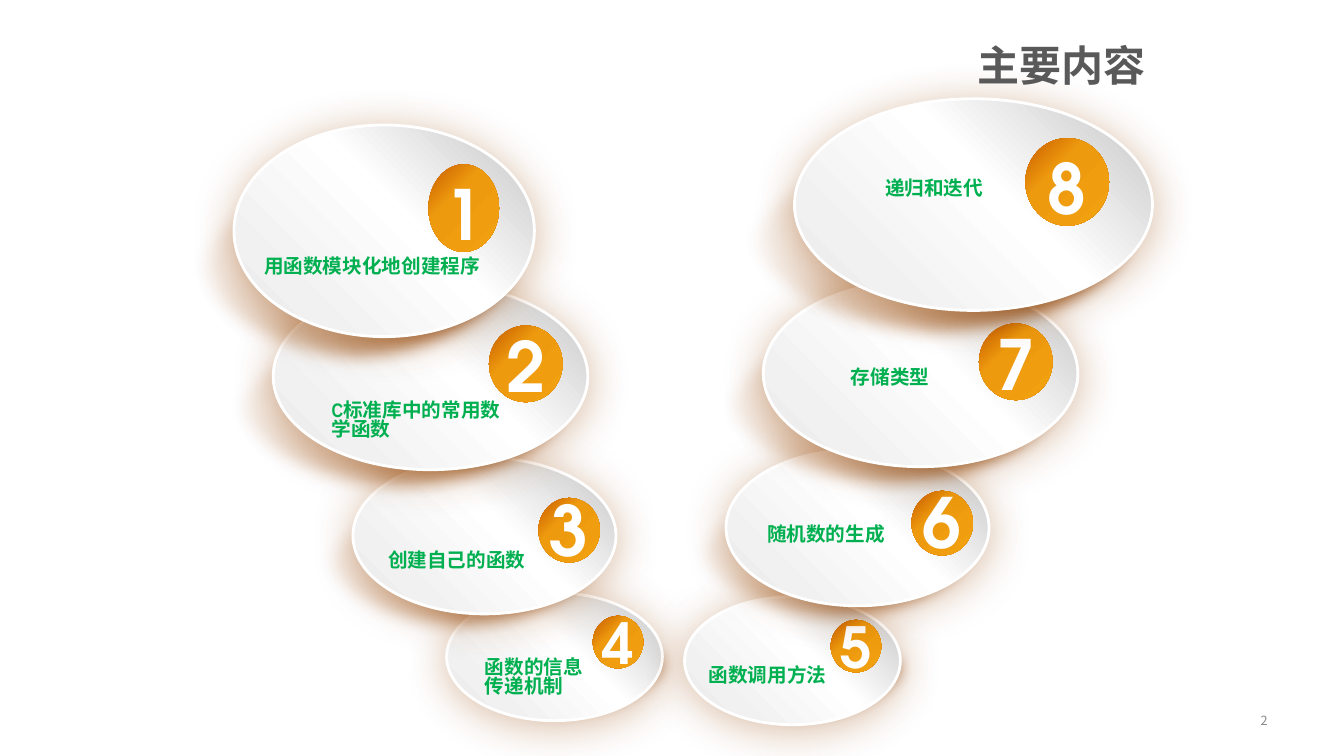
from lxml.etree import SubElement
from pptx import Presentation
from pptx.dml.color import RGBColor
from pptx.enum.shapes import MSO_SHAPE
from pptx.enum.text import MSO_ANCHOR, MSO_AUTO_SIZE, PP_ALIGN
from pptx.oxml.ns import qn
from pptx.util import Pt

EMU_PER_PX = 9144
COLORS = {
    "white": "FFFFFF", "label": "00B050", "title": "595959", "page": "898989",
    "glow": "984807", "shade_dark": "863C00", "shade_light": "9E4800",
    "disk_dark": "CCCCCC", "disk_pale": "F1F1F1", "disk_edge": "E4E4E4",
    "badge_dark": "C85B00", "badge_mid": "EE9A0E", "badge_light": "F1A00F",
}
GRADIENTS = {
    "shade": (180, [(0, "shade_dark", 100), (100, "shade_light", 0)]),
    "disk": (135, [(6, "disk_dark", 100), (43, "white", 100),
                   (80, "disk_pale", 100), (100, "disk_edge", 100)]),
    "badge": (45, [(0, "badge_dark", 100), (36, "badge_mid", 100), (100, "badge_light", 100)]),
}
EFFECTS = {
    "shade": ("a:softEdge", {"rad": Pt(12)}),
    "disk": ("a:outerShdw", {"blurRad": Pt(31), "dist": Pt(3), "dir": 90 * 60000,
                             "algn": "t", "rotWithShape": 0}),
}
FONTS = {"digit": "TeX Gyre Adventor", "text": "Arial Narrow", "cjk": "Noto Sans CJK SC"}
TEXT_STYLES = {
    "digit": ("digit", "white", {"size": Pt(49.5), "bold": True},
              {"alignment": PP_ALIGN.CENTER, "line_spacing": 0.8}),
    "small_digit": ("digit", "white", {"size": Pt(40.5), "bold": True},
                    {"alignment": PP_ALIGN.CENTER, "line_spacing": 0.8}),
    "label": ("text", "label", {"size": Pt(14), "bold": True}, {"line_spacing": 0.8}),
    "title": ("text", "title", {"size": Pt(30), "bold": True},
              {"alignment": PP_ALIGN.RIGHT, "line_spacing": 1.3}),
    "page": ("cjk", "page", {"size": Pt(9)}, {"alignment": PP_ALIGN.RIGHT}),
}
FIT_FRAME = {"word_wrap": True, "auto_size": MSO_AUTO_SIZE.SHAPE_TO_FIT_TEXT}
PAGE_FRAME = {"word_wrap": True, "vertical_anchor": MSO_ANCHOR.MIDDLE}

LEFT_TOPICS = [
    ("4", (443, 588, 214, 127), (588, 611), 611, "函数的信息传递机制", (471, 649, 126, 48)),
    ("3", (350, 454, 261, 155), (534, 494), 494, "创建自己的函数", (375, 543, 165, 29)),
    ("2", (271, 281, 312, 185), (485, 323), 332, "C标准库中的常用数学函数", (319, 394, 192, 48)),
    ("1", (232, 124, 298, 210), (425, 163), 181, "用函数模块化地创建程序", (252, 251, 242, 29)),
]
RIGHT_TOPICS = [
    ("5", (679, 592, 214, 127), (824, 615), 615, "函数调用方法", (693, 657, 141, 29)),
    ("6", (720, 446, 261, 155), (904, 487), 486, "随机数的生成", (751, 517, 154, 29)),
    ("7", (757, 278, 312, 185), (971, 321), 330, "存储类型", (834, 362, 116, 29)),
    ("8", (788, 98, 355, 210), (1017, 137), 155, "递归和迭代", (868, 174, 154, 29)),
]


def set_values(target, values):
    """Set each named attribute on the target."""
    for name, value in values.items():
        setattr(target, name, value)


def add_xml(parent, tag, values):
    """Append a drawing element with attributes."""
    return SubElement(parent, qn(tag), {name: str(value) for name, value in values.items()})


class SlideBuilder:
    """Draw styled elements on the current slide."""

    def __init__(self, slide):
        """Keep the slide to draw on."""
        self.slide = slide

    def box(self, bounds):
        """Turn pixel bounds into EMU."""
        return [value * EMU_PER_PX for value in bounds]

    def ellipse(self, shapes, bounds, style):
        """Add an ellipse with its gradient and effect."""
        shape = shapes.add_shape(MSO_SHAPE.OVAL, *self.box(bounds))
        shape.shadow.inherit = False
        if style == "disk":
            shape.line.color.rgb = RGBColor.from_string(COLORS["white"])
            shape.line.width = Pt(2)
        else:
            shape.line.fill.background()
        properties = shape._element.spPr
        angle, stops = GRADIENTS[style]
        gradient = add_xml(properties, "a:gradFill", {"rotWithShape": 1})
        stop_list = add_xml(gradient, "a:gsLst", {})
        for position, color, opacity in stops:
            stop = add_xml(stop_list, "a:gs", {"pos": position * 1000})
            self.color(stop, color, opacity)
        add_xml(gradient, "a:lin", {"ang": angle * 60000, "scaled": 0})
        properties.find(qn("a:prstGeom")).addnext(gradient)
        if style in EFFECTS:
            tag, values = EFFECTS[style]
            effect = add_xml(properties.find(qn("a:effectLst")), tag, values)
            if style == "disk":
                self.color(effect, "glow", 37)

    def color(self, parent, name, opacity):
        """Add a named color with its opacity."""
        color = add_xml(parent, "a:srgbClr", {"val": COLORS[name]})
        if opacity < 100:
            add_xml(color, "a:alpha", {"val": opacity * 1000})

    def text(self, shapes, bounds, content, style, frame_values=FIT_FRAME):
        """Add a styled text box."""
        font_name, color, font_values, paragraph_values = TEXT_STYLES[style]
        frame = shapes.add_textbox(*self.box(bounds)).text_frame
        set_values(frame, frame_values)
        paragraph = frame.paragraphs[0]
        set_values(paragraph, paragraph_values)
        run = paragraph.add_run()
        run.text = content
        set_values(run.font, {"name": FONTS[font_name], **font_values})
        run.font.color.rgb = RGBColor.from_string(COLORS[color])
        add_xml(run._r.get_or_add_rPr(), "a:ea", {"typeface": FONTS["cjk"]})

    def topic(self, number, disk, badge, digit_top):
        """Add a numbered disk with its shade and badge."""
        left, top, width, height = disk
        small = number in "45"
        shapes = self.slide.shapes if small else self.slide.shapes.add_group_shape().shapes
        shift_x, shift_y = (12, 8) if small else (round(width * 0.17), round(height * 0.17))
        badge_width, badge_height = round(width * 0.234), round(height * 0.413)
        shade = (left - shift_x, top + shift_y, round(width * 1.146), height)
        self.ellipse(shapes, shade, "shade")
        self.ellipse(shapes, disk, "disk")
        self.ellipse(shapes, (*badge, badge_width, badge_height), "badge")
        digit_box = (badge[0], digit_top, badge_width, 65 if small else 77)
        self.text(shapes, digit_box, number, "small_digit" if small else "digit")

    def column(self, topics):
        """Add a stack of topics and then their labels."""
        for number, disk, badge, digit_top, _, _ in topics:
            self.topic(number, disk, badge, digit_top)
        for *_, label, bounds in reversed(topics):
            self.text(self.slide.shapes, bounds, label, "label")


def main():
    """Build and save the contents slide."""
    presentation = Presentation()
    set_values(presentation, {"slide_width": 1333 * EMU_PER_PX, "slide_height": 750 * EMU_PER_PX})
    slide = presentation.slides.add_slide(presentation.slide_layouts[6])
    builder = SlideBuilder(slide)
    builder.column(LEFT_TOPICS)
    builder.column(RIGHT_TOPICS)
    builder.text(slide.shapes, (679, 19, 467, 76), "主要内容", "title")
    builder.text(slide.shapes, (956, 695, 311, 40), "2", "page", PAGE_FRAME)
    presentation.save("out.pptx")


if __name__ == "__main__":
    main()
